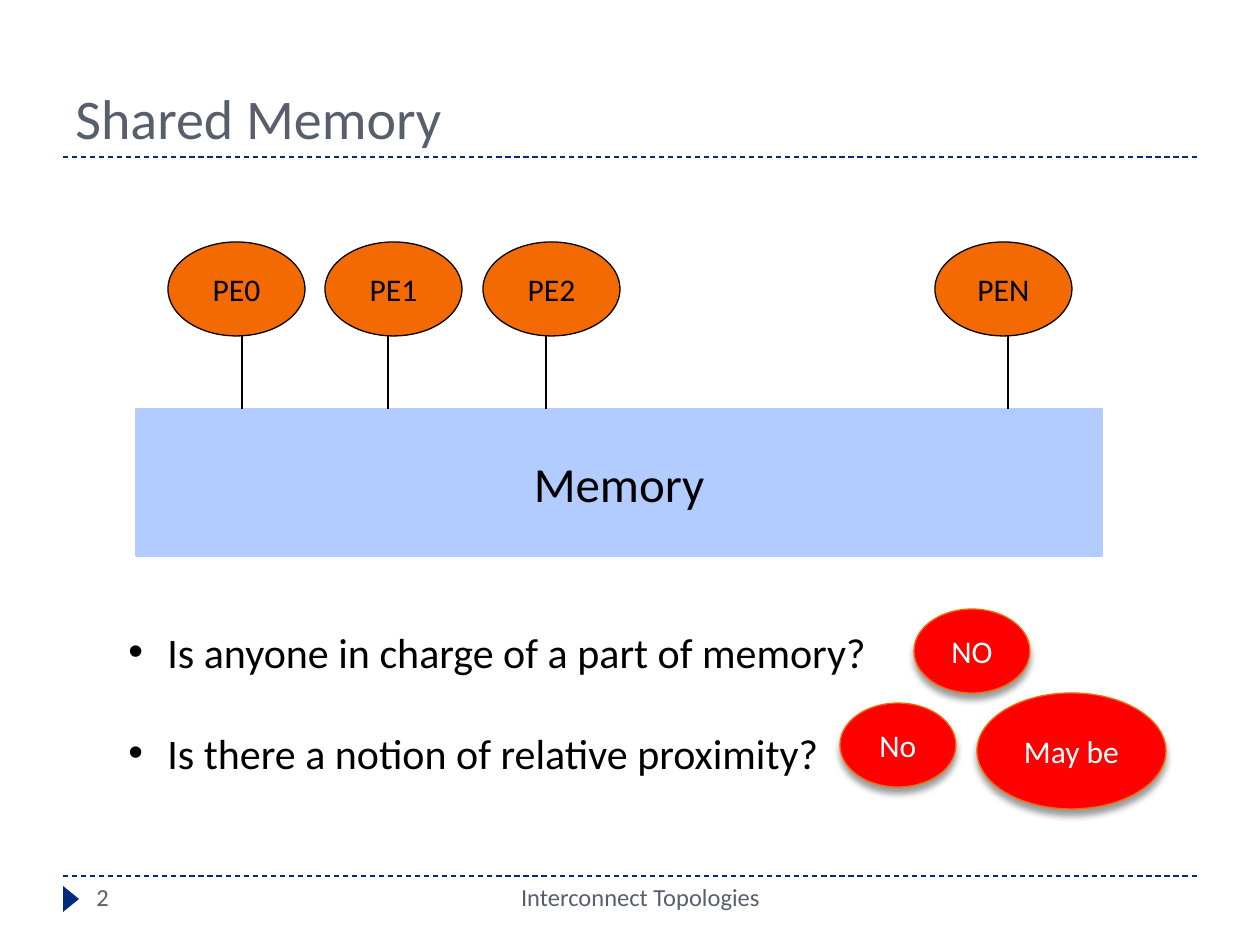
from lxml.etree import SubElement
from pptx import Presentation
from pptx.dml.color import RGBColor
from pptx.enum.dml import MSO_LINE
from pptx.enum.shapes import MSO_CONNECTOR, MSO_SHAPE
from pptx.enum.text import MSO_ANCHOR, MSO_AUTO_SIZE, PP_ALIGN
from pptx.oxml.ns import qn
from pptx.util import Emu, Pt

EMU_PER_PX = 914400 / 126
COLORS = {
    "navy": "002A7E", "slate": "575F6D", "orange": "F46A02", "pale": "B2CCFF",
    "red": "FF0000", "black": "000000", "white": "FFFFFF",
}
PROCESSORS = [("PE0", 168, 242), ("PE1", 325, 388), ("PE2", 483, 546), ("PEN", 935, 1008)]
ANSWERS = [("NO", 914, 609, 116, 84), ("No", 840, 703, 116, 84), ("May be", 977, 693, 189, 116)]
QUESTIONS = ["Is anyone in charge of a part of memory?", "Is there a notion of relative proximity?"]


def px(*lengths):
    """Turn pixel lengths into EMU."""
    return [Emu(round(length * EMU_PER_PX)) for length in lengths]


def rgb(name):
    """Look up a colour by name."""
    return RGBColor.from_string(COLORS[name])


def write(paragraph, text, size, color, align=PP_ALIGN.LEFT):
    """Put one formatted span into a paragraph."""
    paragraph.alignment = align
    span = paragraph.add_run()
    span.text = text
    for name, value in {"name": "Calibri", "size": Pt(size)}.items():
        setattr(span.font, name, value)
    span.font.color.rgb = rgb(color)


def add_text(page, frame, text, size, color, align=PP_ALIGN.LEFT, anchor=MSO_ANCHOR.TOP):
    """Add a wrapping text box with one paragraph."""
    box = page.shapes.add_textbox(*px(*frame)).text_frame
    for name, value in {"word_wrap": True, "vertical_anchor": anchor}.items():
        setattr(box, name, value)
    write(box.paragraphs[0], text, size, color, align)


def add_bullets(page, frame, texts, size, gap):
    """Add a bulleted list with a gap between its paragraphs."""
    box = page.shapes.add_textbox(*px(*frame)).text_frame
    for name, value in {"word_wrap": True, "auto_size": MSO_AUTO_SIZE.SHAPE_TO_FIT_TEXT}.items():
        setattr(box, name, value)
    indent = px(39)[0]
    for index, text in enumerate(texts):
        paragraph = box.add_paragraph() if index else box.paragraphs[0]
        properties = paragraph._p.get_or_add_pPr()
        properties.set("marL", str(indent))
        properties.set("indent", str(-indent))
        SubElement(properties, qn("a:buFont"), typeface="Arial")
        SubElement(properties, qn("a:buChar"), char="•")
        if index:
            paragraph.space_before = Pt(gap)
        write(paragraph, text, size, "black")


def add_block(page, kind, frame, fill, line=None, text="", size=18, color="black", wrap=False):
    """Add a filled preset shape with centred text."""
    shape = page.shapes.add_shape(kind, *px(*frame))
    shape.shadow.inherit = False
    shape.fill.solid()
    shape.fill.fore_color.rgb = rgb(fill)
    if line:
        shape.line.color.rgb = rgb(line)
        shape.line.width = Pt(0.75)
    else:
        shape.line.fill.background()
    if text:
        box = shape.text_frame
        for name, value in {"word_wrap": wrap, "vertical_anchor": MSO_ANCHOR.MIDDLE}.items():
            setattr(box, name, value)
        write(box.paragraphs[0], text, size, color, PP_ALIGN.CENTER)
    return shape


def add_shadow(shape):
    """Give a shape a soft shadow below it."""
    effects = shape._element.spPr.find(qn("a:effectLst"))
    shadow = SubElement(effects, qn("a:outerShdw"), blurRad=str(Pt(4)), dist=str(Pt(3.4)),
                        dir="5400000", rotWithShape="0")
    tint = SubElement(shadow, qn("a:srgbClr"), val=COLORS["black"])
    SubElement(tint, qn("a:alpha"), val="40000")


def add_line(page, start, end, color, dash=None):
    """Add a thin straight line."""
    line = page.shapes.add_connector(MSO_CONNECTOR.STRAIGHT, *px(*start, *end))
    line.line.color.rgb = rgb(color)
    for name, value in {"width": Pt(0.75), "dash_style": dash}.items():
        setattr(line.line, name, value)
    SubElement(line._element.spPr, qn("a:effectLst"))


def main():
    """Build the shared memory slide."""
    deck = Presentation()
    deck.slide_width, deck.slide_height = px(1260, 945)
    page = deck.slides.add_slide(deck.slide_layouts[6])

    for y in (876, 157):
        add_line(page, (63, y), (1197, y), "navy", MSO_LINE.DASH)
    marker = add_block(page, MSO_SHAPE.ISOSCELES_TRIANGLE, (58, 891, 26, 16), "navy")
    marker.rotation = 90
    add_text(page, (63, 31, 1134, 126), "Shared Memory", 32, "slate", anchor=MSO_ANCHOR.BOTTOM)
    add_text(page, (399, 876, 483, 50), "Interconnect Topologies", 14, "slate", PP_ALIGN.CENTER)
    add_text(page, (84, 876, 273, 50), "2", 14, "slate")

    add_block(page, MSO_SHAPE.RECTANGLE, (136, 409, 966, 147), "pale", "pale", "Memory", 28)
    for name, left, link in PROCESSORS:
        add_block(page, MSO_SHAPE.OVAL, (left, 242, 137, 94), "orange", "black", name)
        add_line(page, (link, 336), (link, 409), "black")

    add_bullets(page, (116, 620, 1029, 165), QUESTIONS, 24, 29)
    for text, *frame in ANSWERS:
        add_shadow(add_block(page, MSO_SHAPE.OVAL, frame, "red", "orange", text, color="white", wrap=True))

    deck.save("out.pptx")


if __name__ == "__main__":
    main()
